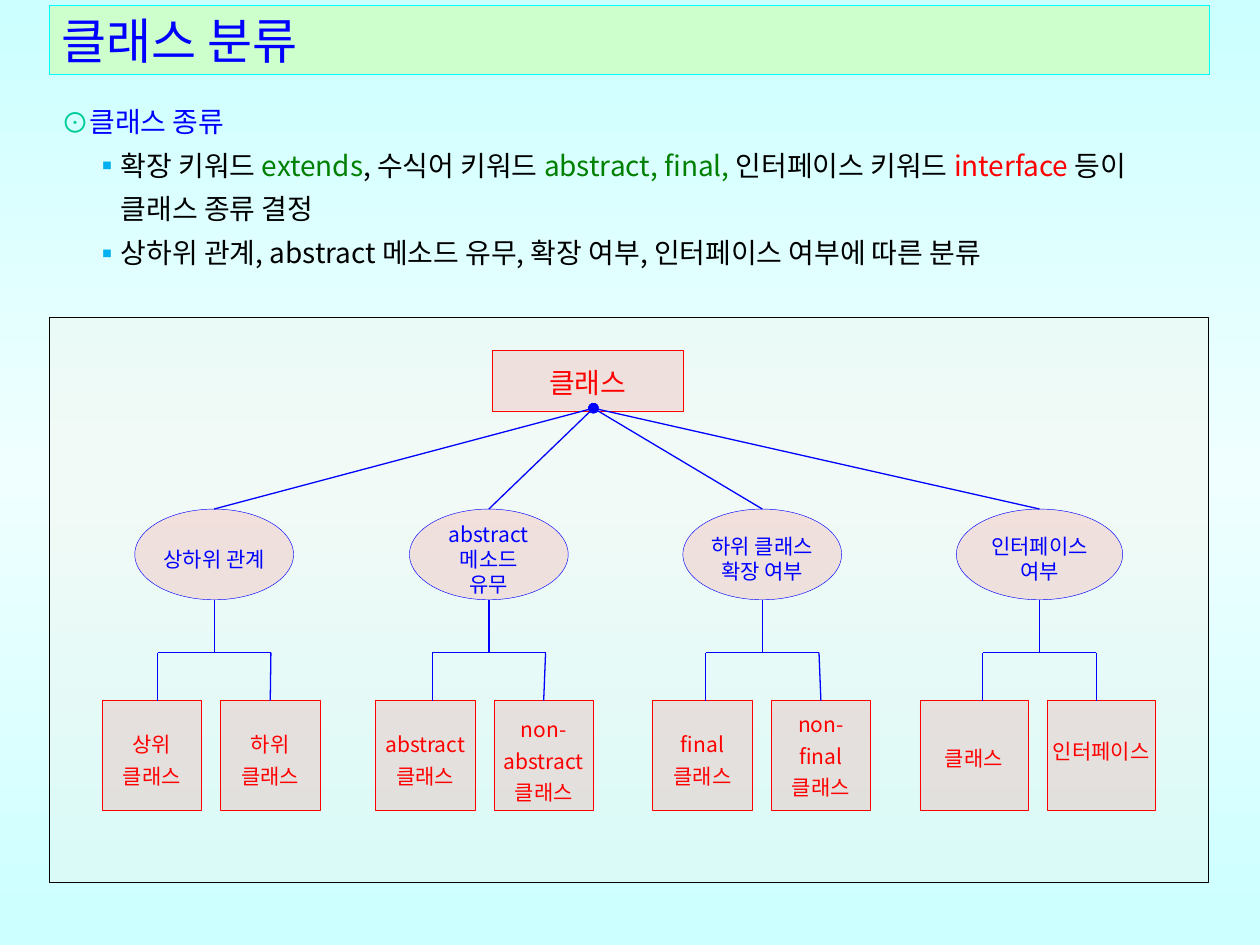
from copy import deepcopy
from lxml import etree
from pptx import Presentation
from pptx.dml.color import RGBColor
from pptx.enum.shapes import MSO_CONNECTOR, MSO_SHAPE
from pptx.enum.text import MSO_ANCHOR, PP_ALIGN
from pptx.oxml.ns import qn
from pptx.util import Inches, Pt

STRAIGHT = MSO_CONNECTOR.STRAIGHT
RECT, ROUND, OVAL = MSO_SHAPE.RECTANGLE, MSO_SHAPE.ROUNDED_RECTANGLE, MSO_SHAPE.OVAL
TOP, MIDDLE = MSO_ANCHOR.TOP, MSO_ANCHOR.MIDDLE
LEFT, CENTER = PP_ALIGN.LEFT, PP_ALIGN.CENTER
FONT = "Noto Sans CJK KR"
BLACK = RGBColor(0x00, 0x00, 0x00)
BLUE = RGBColor(0x00, 0x00, 0xFF)
RED = RGBColor(0xFF, 0x00, 0x00)
GREEN = RGBColor(0x00, 0x80, 0x00)
TEAL = RGBColor(0x00, 0xCC, 0x99)
SKY = RGBColor(0x00, 0xB0, 0xF0)
AQUA = RGBColor(0x00, 0xFF, 0xFF)
MINT = RGBColor(0xCC, 0xFF, 0xCC)
CREAM = RGBColor(0xFD, 0xEA, 0xDA)
PALE = RGBColor(0xCC, 0xFF, 0xFF)
PALER = RGBColor(0xF0, 0xFF, 0xFF)

prs = Presentation()
prs.slide_width, prs.slide_height = Inches(10), Inches(7.5)
s = prs.slides.add_slide(prs.slide_layouts[5])

bg = s.background.fill
bg.gradient()
bg.gradient_angle = 270
stops = s.background._cSld.find(".//" + qn("a:gsLst"))
stops.insert(1, deepcopy(stops[0]))
for stop, position, color in zip(bg.gradient_stops, (0, 0.5, 1), (PALE, PALER, PALE)):
    stop.position = position
    stop.color.rgb = color


def add_box(kind, x, y, w, h, fill, opacity, line, text="", size=12, inset=0.0, spacing=None):
    sp = s.shapes.add_shape(kind, Inches(x), Inches(y), Inches(w), Inches(h))
    sp.shadow.inherit = False
    if kind == ROUND:
        sp.adjustments[0] = 0
    sp.fill.solid()
    sp.fill.fore_color.rgb = fill
    clr = sp._element.spPr.find(qn("a:solidFill"))[0]
    etree.SubElement(clr, qn("a:alpha"), val=str(opacity * 1000))
    sp.line.color.rgb = line
    sp.line.width = Pt(0.25)
    tf = sp.text_frame
    tf.text = text
    tf.vertical_anchor = MIDDLE if kind == OVAL else TOP
    tf.margin_left = tf.margin_right = 0
    tf.margin_top, tf.margin_bottom = Inches(inset), Inches(0.05)
    for p in tf.paragraphs:
        p.alignment = CENTER
        p.line_spacing = spacing
        for r in p.runs:
            r.font.name, r.font.size = FONT, Pt(size)
            r.font.color.rgb = line
            etree.SubElement(r.font._element, qn("a:ea"), typeface=FONT)
    return sp


def add_line(x1, y1, x2, y2, head=None):
    c = s.shapes.add_connector(STRAIGHT, Inches(x1), Inches(y1), Inches(x2), Inches(y2))
    c.line.color.rgb = BLUE
    c.line.width = Pt(0.75)
    if head:
        etree.SubElement(c.line._get_or_add_ln(), qn("a:headEnd"), type=head)
    etree.SubElement(c._element.spPr, qn("a:effectLst"))
    return c


title = s.shapes.title
title.left, title.top, title.width, title.height = Inches(0.39), Inches(0.04), Inches(9.21), Inches(0.55)
title.fill.solid()
title.fill.fore_color.rgb = MINT
title.line.color.rgb = AQUA
title.line.width = Pt(0.25)
title.text_frame.text = "클래스 분류"
title.text_frame.vertical_anchor = MIDDLE
p = title.text_frame.paragraphs[0]
p.alignment = LEFT
r = p.runs[0]
r.font.name, r.font.size = FONT, Pt(28)
r.font.color.rgb = BLUE
etree.SubElement(r.font._element, qn("a:ea"), typeface=FONT)

BODY = [
    ("⊙", TEAL, 0.22, [("클래스 종류", BLUE)]),
    ("▪", SKY, 0.47, [
        ("확장 키워드 ", BLACK), ("extends", GREEN), (", 수식어 키워드 ", BLACK),
        ("abstract, final, ", GREEN), ("인터페이스 키워드 ", BLACK),
        ("interface ", RED), ("등이\v클래스 종류 결정", BLACK)]),
    ("▪", SKY, 0.47, [
        ("상하위 관계, abstract 메소드 유무, 확장 여부, 인터페이스 여부에 따른 분류", BLACK)]),
]
body = s.shapes.add_textbox(Inches(0.39), Inches(0.7), Inches(9.49), Inches(1.5))
tf = body.text_frame
tf.word_wrap = True
for i, (bullet, bullet_color, indent, parts) in enumerate(BODY):
    p = tf.paragraphs[0] if i == 0 else tf.add_paragraph()
    p.line_spacing = 1.3
    pPr = p._p.get_or_add_pPr()
    pPr.set("marL", str(Inches(indent)))
    pPr.set("indent", str(Inches(-0.22)))
    bu_clr = etree.SubElement(pPr, qn("a:buClr"))
    etree.SubElement(bu_clr, qn("a:srgbClr"), val=str(bullet_color))
    etree.SubElement(pPr, qn("a:buFont"), typeface=FONT)
    etree.SubElement(pPr, qn("a:buChar"), char=bullet)
    for text, color in parts:
        for j, piece in enumerate(text.split("\v")):
            if j:
                p.add_line_break()
            r = p.add_run()
            r.text = piece
            r.font.name, r.font.size = FONT, Pt(16)
            r.font.color.rgb = color
            etree.SubElement(r.font._element, qn("a:ea"), typeface=FONT)

add_box(RECT, 0.39, 2.52, 9.2, 4.48, CREAM, 20, BLACK)
add_box(ROUND, 3.91, 2.78, 1.51, 0.48, RED, 10, RED, "클래스", 16, 0.12)

BRANCHES = [
    (1.7, 1.26, "상하위 관계", 0.79,
     [(0.81, "상위\n클래스", 0.2), (1.75, "하위\n클래스", 0.2)]),
    (3.88, 1.26, "abstract\n메소드\n유무", 0.79,
     [(2.98, "abstract\n클래스", 0.2), (3.92, "non-\nabstract\n클래스", 0.08)]),
    (6.05, 1.26, "하위 클래스 확장 여부", 0.79,
     [(5.18, "final\n클래스", 0.2), (6.12, "non-\nfinal\n클래스", 0.04)]),
    (8.25, 1.32, "인터페이스\n여부", 0.86,
     [(7.3, "클래스", 0.31), (8.31, "인터페이스", 0.25)]),
]
ELLIPSE_Y, BAR_Y, LEAF_Y = 4.04, 5.18, 5.56
for center, width, label, leaf_w, leaves in BRANCHES:
    ellipse = add_box(OVAL, center - width / 2, ELLIPSE_Y, width, 0.72, RED, 10, BLUE, label, 12, 0.12)
    add_line(4.71, 3.24, center, ELLIPSE_Y, "oval").end_connect(ellipse, 0)
    add_line(center, ELLIPSE_Y + 0.72, center, BAR_Y)
    add_line(center - 0.45, BAR_Y, center + 0.45, BAR_Y)
    for (x, text, inset), drop_x in zip(leaves, (center - 0.45, center + 0.45)):
        leaf = add_box(ROUND, x, LEAF_Y, leaf_w, 0.87, RED, 10, RED, text, 12, inset, Pt(18))
        drop = add_line(drop_x, BAR_Y, drop_x, LEAF_Y)
        if abs(x + leaf_w / 2 - drop_x) < 0.02:
            drop.end_connect(leaf, 0)

prs.save("out.pptx")
